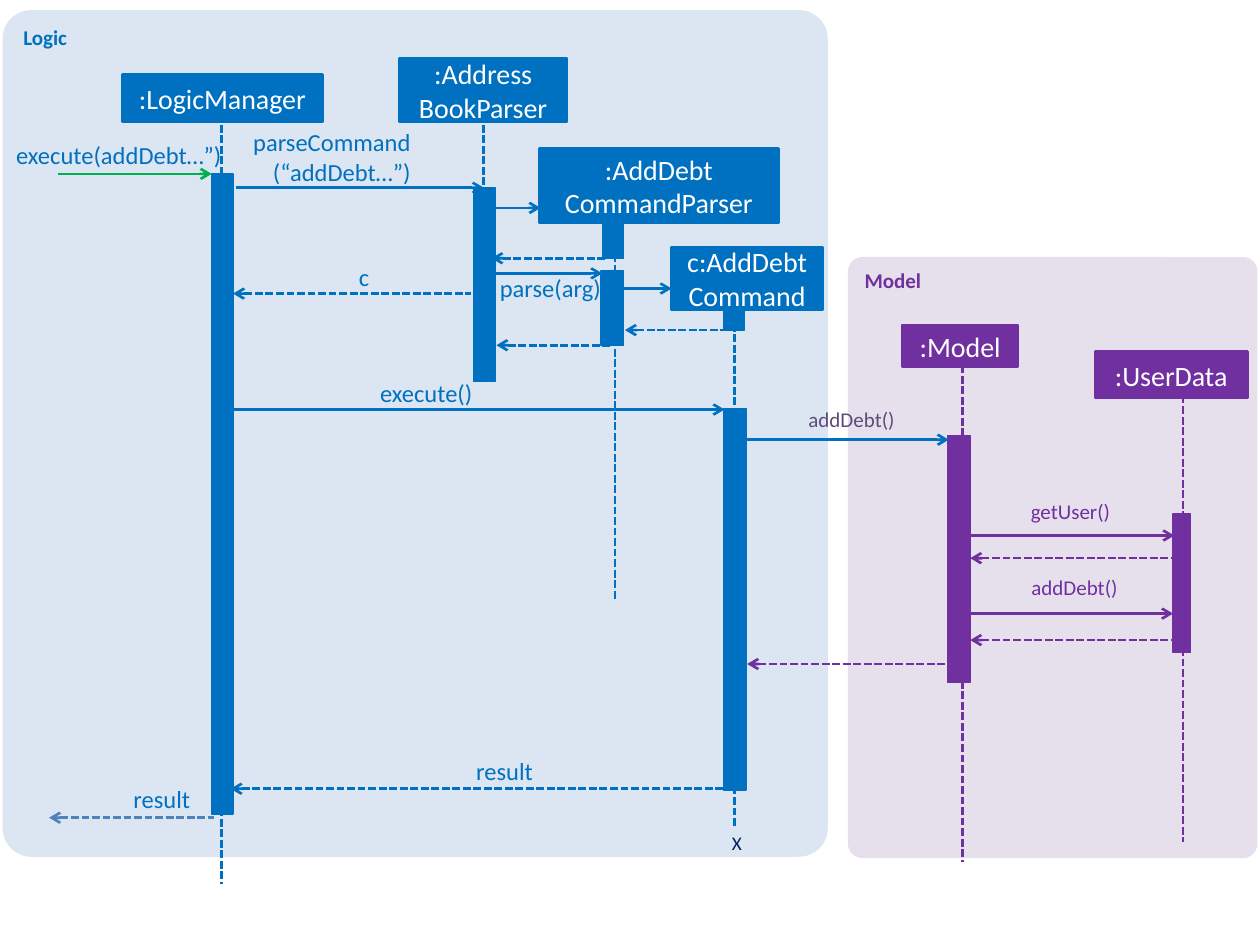
from lxml.etree import SubElement
from pptx import Presentation
from pptx.dml.color import RGBColor as RGB
from pptx.enum.dml import MSO_LINE as Dash
from pptx.enum.shapes import MSO_CONNECTOR as Conn, MSO_SHAPE as Form
from pptx.enum.text import MSO_ANCHOR as Anchor, MSO_AUTO_SIZE as Auto, PP_ALIGN as Align
from pptx.oxml.ns import qn
from pptx.util import Inches, Pt

HUES = {
    "blue": "0070C0", "plum": "7030A0", "green": "00B050", "steel": "4F81BD",
    "grape": "604A7B", "navy": "002060", "white": "FFFFFF",
    "sky": "DCE6F2", "lilac": "E6E0EC",
}


def hue(name):
    return RGB.from_string(HUES[name])


class Chart:
    font = "Calibri"
    width = 1.5

    def __init__(self, slide):
        self.slide = slide

    def letter(self, frame, text, size, tint, align, bold=None):
        frame.text = text
        for para in frame.paragraphs:
            para.alignment = align
            para.font.name = self.font
            para.font.size = Pt(size)
            para.font.bold = bold
            para.font.color.rgb = hue(tint)

    def shape(self, form, place, fill, edge=None):
        item = self.slide.shapes.add_shape(form, *map(Inches, place))
        item.shadow.inherit = False
        item.fill.solid()
        item.fill.fore_color.rgb = hue(fill)
        if edge:
            item.line.color.rgb = hue(fill)
            item.line.width = Pt(edge)
        else:
            item.line.fill.background()
        return item

    def panel(self, place, text, fill, tint):
        item = self.shape(Form.ROUNDED_RECTANGLE, place, fill)
        item.adjustments[0] = 0.035
        item.text_frame.vertical_anchor = Anchor.TOP
        self.letter(item.text_frame, text, 12, tint, Align.LEFT, True)

    def head(self, place, text, fill):
        item = self.shape(Form.RECTANGLE, place, fill, self.width)
        item.text_frame.vertical_anchor = Anchor.MIDDLE
        self.letter(item.text_frame, text, 16, "white", Align.CENTER)

    def bar(self, place, fill):
        self.shape(Form.RECTANGLE, place, fill, 0.75)

    def line(self, start, end, tint, dash=False, tip=None):
        ends = map(Inches, (*start, *end))
        item = self.slide.shapes.add_connector(Conn.STRAIGHT, *ends)
        item.line.color.rgb = hue(tint)
        item.line.width = Pt(self.width)
        if dash:
            item.line.dash_style = Dash.SQUARE_DOT
        props = item.element.spPr
        if tip:
            SubElement(props.find(qn("a:ln")), qn(tip)).set("type", "arrow")
        SubElement(props, qn("a:effectLst"))

    def life(self, x, top, end, tint):
        self.line((x, top), (x, end), tint, True)

    def call(self, left, right, y, tint):
        self.line((left, y), (right, y), tint, tip="a:tailEnd")

    def reply(self, left, right, y, tint):
        self.line((left, y), (right, y), tint, True, "a:headEnd")

    def label(self, place, text, size, tint, align=Align.RIGHT, pad=(0, 0), wrap=True):
        frame = self.slide.shapes.add_textbox(*map(Inches, place)).text_frame
        frame.word_wrap = wrap
        frame.auto_size = Auto.SHAPE_TO_FIT_TEXT
        frame.margin_left = frame.margin_right = Inches(pad[0])
        frame.margin_top = frame.margin_bottom = Inches(pad[1])
        self.letter(frame, text, size, tint, align)


def main():
    deck = Presentation()
    deck.slide_width, deck.slide_height = Inches(10), Inches(7.5)
    chart = Chart(deck.slides.add_slide(deck.slide_layouts[6]))

    chart.panel((6.73, 2.04, 3.25, 4.77), "Model", "lilac", "plum")
    chart.panel((0.02, 0.08, 6.55, 6.72), "Logic", "sky", "blue")

    for life in (
        (1.76, 0.99, 7.02, "blue"),
        (3.84, 0.99, 2.61, "blue"),
        (4.88, 1.85, 4.75, "blue"),
        (5.83, 2.32, 6.57, "blue"),
        (7.64, 2.9, 6.84, "plum"),
        (9.39, 3.14, 6.68, "plum"),
    ):
        chart.life(*life)

    for *place, fill in (
        (1.68, 1.38, 0.17, 5.08, "blue"),
        (3.76, 1.49, 0.17, 1.54, "blue"),
        (4.78, 1.75, 0.17, 0.3, "blue"),
        (4.77, 2.15, 0.18, 0.59, "blue"),
        (5.74, 2.32, 0.17, 0.3, "blue"),
        (5.74, 3.24, 0.18, 3.03, "blue"),
        (7.52, 3.46, 0.18, 1.96, "plum"),
        (9.31, 4.08, 0.14, 1.1, "plum"),
    ):
        chart.bar(place, fill)

    for *place, text, fill in (
        (0.97, 0.59, 1.59, 0.38, ":LogicManager", "blue"),
        (3.17, 0.46, 1.33, 0.51, ":Address\nBookParser", "blue"),
        (4.28, 1.18, 1.9, 0.59, ":AddDebt\vCommandParser", "blue"),
        (5.33, 1.96, 1.2, 0.5, "c:AddDebt\vCommand", "blue"),
        (7.16, 2.58, 0.92, 0.33, ":Model", "plum"),
        (8.69, 2.79, 1.21, 0.37, ":UserData", "plum"),
    ):
        chart.head(place, text, fill)

    for call in (
        (0.46, 1.68, 1.38, "green"),
        (1.87, 3.84, 1.49, "blue"),
        (3.93, 4.29, 1.65, "blue"),
        (3.92, 4.78, 2.17, "blue"),
        (4.93, 5.33, 2.29, "blue"),
        (1.85, 5.75, 3.25, "blue"),
        (5.92, 7.53, 3.49, "blue"),
        (7.7, 9.32, 4.25, "plum"),
        (7.7, 9.31, 4.87, "plum"),
    ):
        chart.call(*call)

    for reply in (
        (3.9, 4.81, 2.05, "blue"),
        (1.85, 3.74, 2.33, "blue"),
        (4.96, 5.87, 2.62, "blue"),
        (3.94, 4.85, 2.74, "blue"),
        (7.7, 9.31, 4.43, "plum"),
        (7.7, 9.31, 5.08, "plum"),
        (5.93, 7.64, 5.27, "plum"),
        (1.83, 5.84, 6.26, "blue"),
        (0.39, 1.7, 6.49, "steel"),
    ):
        chart.reply(*reply)

    for *place, text, size, tint in (
        (-0.12, 1.11, 1.88, 0.24, "execute(addDebt…”)", 14, "blue"),
        (1.93, 1.01, 1.33, 0.47, "parseCommand\n(“addDebt…”)", 14, "blue"),
        (2.69, 2.08, 0.24, 0.24, "c", 14, "blue"),
        (3.94, 2.17, 0.83, 0.24, "parse(arg)", 14, "blue"),
        (2.81, 3, 0.94, 0.24, "execute()", 14, "blue"),
        (6.18, 3.23, 0.92, 0.2, "addDebt()", 12, "grape"),
        (8.04, 3.96, 0.77, 0.2, "getUser()", 12, "plum"),
        (7.83, 4.56, 1.04, 0.2, "addDebt()", 12, "plum"),
        (3.55, 6, 0.68, 0.24, "result", 14, "blue"),
        (0.68, 6.22, 0.83, 0.24, "result", 14, "blue"),
    ):
        chart.label(place, text, size, tint)
    chart.label((5.71, 6.55, 0.28, 0.29), "X", 11, "navy", Align.LEFT, (0.1, 0.05), False)

    deck.save("out.pptx")


if __name__ == "__main__":
    main()
